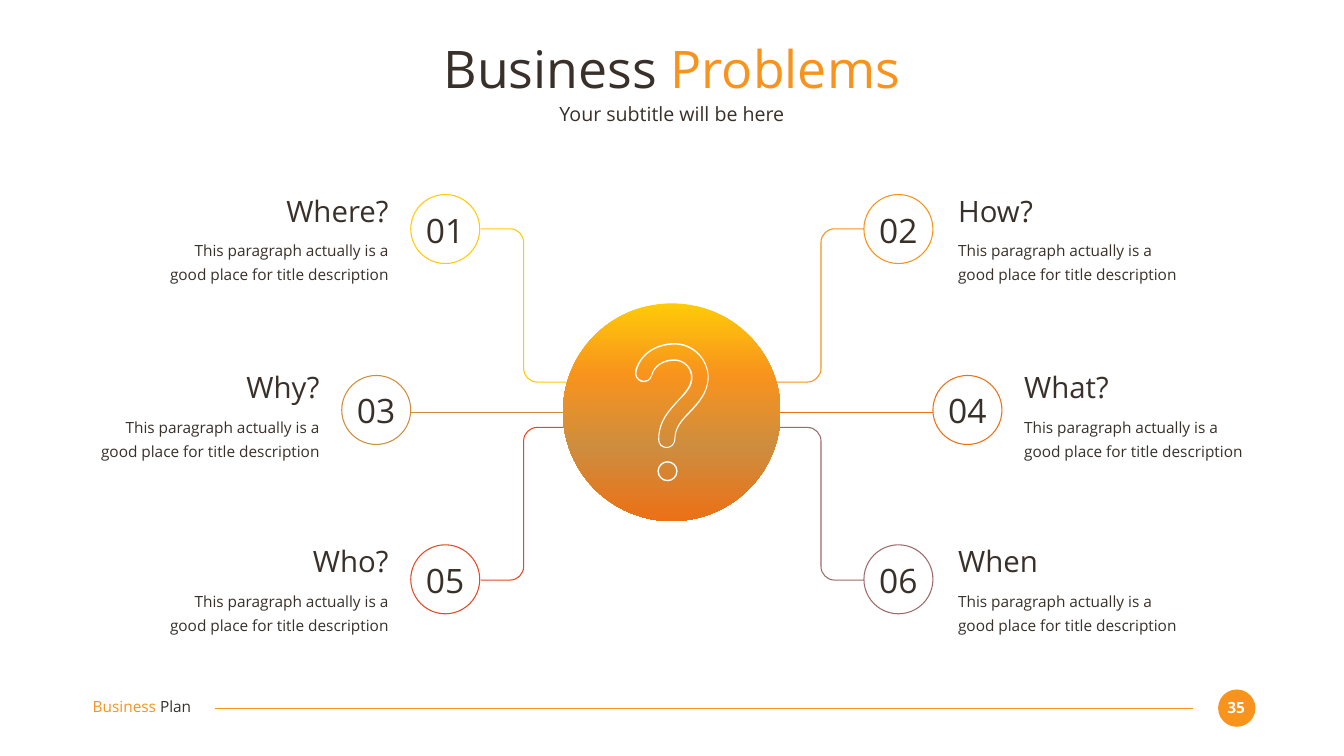
from lxml.etree import SubElement
from pptx import Presentation
from pptx.dml.color import RGBColor
from pptx.enum.shapes import MSO_CONNECTOR as LINK, MSO_SHAPE as SHAPE
from pptx.enum.text import PP_ALIGN as ALIGN
from pptx.oxml.ns import qn
from pptx.util import Pt

INK, ORANGE, WHITE = "39302A", "F8931D", "FFFFFF"
MID, RING, ROUND = 959.8, 98.6, 19.4
BODY = "This paragraph actually is a good place for title description"
FLOW = [(0, "FFCA08"), (33, "F8931D"), (66, "CE8D3E"), (100, "EC7016")]
ROWS = [
    (323.7, 275.8, 277.9, 299.5, 330, (326.9, 545.8)),
    (422.3, 527.8, 536.4, 556.6, 324.7, None),
    (323.7, 776.2, 778.3, 799.9, 330, (828.7, 610.6)),
]
ITEMS = [
    ("01", "Where?", "FFCA08", 555.1), ("02", "How?", "F8931D", 1368.7),
    ("03", "Why?", "CE8D3E", 456.5), ("04", "What?", "EC7016", 1463),
    ("05", "Who?", "E64823", 555.1), ("06", "When", "9C6A6A", 1368.7),
]
OUTER = [
    (967, 490.3), (943.9, 488.9), (915.1, 500.4), (907.2, 529.9),
    (905.8, 537.1), (910.1, 543.6), (916.6, 545.8), (919.4, 546.5), (923, 545.8), (925.9, 544.3),
    (928.8, 542.2), (931, 540), (931.7, 536.4), (936, 520.6), (951.8, 514.8), (965.5, 515.5),
    (977.8, 516.2), (987.1, 527), (987.1, 538.6), (987.1, 550.8), (979.9, 558.7), (968.4, 571.7),
    (955.4, 585.4), (940.3, 601.2), (940.3, 627.1), (940.3, 628.6), (940.3, 628.6), (940.3, 628.6),
    (940.3, 635), (945.4, 640.1), (952.6, 640.1), (959, 640.1), (964.8, 634.3), (964.8, 627.1),
    (964.8, 611.3), (974.9, 600.5), (986.4, 589), (998.6, 576), (1012.3, 560.9), (1012.3, 538.6),
    (1012.3, 514.1), (992.2, 491.8), (967, 490.3),
]
INNER = [
    (985, 587.5), (973.4, 599.8), (963.4, 610.6), (963.4, 627.1),
    (963.4, 633.6), (958.3, 638.6), (952.6, 638.6), (946.8, 638.6), (941.8, 634.3), (941.8, 628.6),
    (941.8, 627.1), (941.8, 627.1), (941.8, 627.1), (941.8, 601.9), (956.9, 586.8), (969.8, 572.4),
    (982.1, 560.2), (989.3, 551.5), (989.3, 538.6), (989.3, 525.6), (978.5, 514.8), (965.5, 513.4),
    (964.1, 513.4), (963.4, 513.4), (962.6, 513.4), (949, 513.4), (933.8, 520.6), (930.2, 536.4),
    (929.5, 538.6), (927.4, 541.4), (925.2, 542.9), (922.3, 543.6), (919.4, 544.3), (917.3, 543.6),
    (911.5, 542.2), (907.9, 536.4), (909.4, 530.6), (916.6, 501.8), (944.6, 491), (967, 492.5),
    (990.7, 493.9), (1010.9, 514.8), (1010.9, 538.6), (1010.9, 560.2), (997.2, 574.6), (985, 587.5),
]


def tint(code):
    return RGBColor.from_string(code)


def loop(x, y, r):
    k = 0.55 * r
    return [(x, y - r), (x - k, y - r), (x - r, y - k), (x - r, y), (x - r, y + k),
            (x - k, y + r), (x, y + r), (x + k, y + r), (x + r, y + k), (x + r, y),
            (x + r, y - k), (x + k, y - r), (x, y - r)]


class Deck:
    """Draws styled elements on the current slide, in points."""

    def __init__(self, slide, font="Open Sans", width=1.5):
        self.shapes, self.font, self.width = slide.shapes, font, width

    def text(self, words, x, y, w, h, size=22, color=INK, align=ALIGN.LEFT,
             bold=False, lead=None, first=None, last=""):
        frame = self.shapes.add_textbox(Pt(x), Pt(y), Pt(w), Pt(h)).text_frame
        frame.word_wrap = True
        frame.margin_left = frame.margin_right = frame.margin_top = frame.margin_bottom = 0
        para = frame.paragraphs[0]
        para.alignment, para.line_spacing = align, lead
        for part, shade in ((words, first or color), (last, color)):
            if part:
                run = para.add_run()
                run.text = part
                run.font.name, run.font.size, run.font.bold = self.font, Pt(size), bold
                run.font.color.rgb = tint(shade)

    def paint(self, shape, fill=None, line=None):
        shape.shadow.inherit = False
        if fill:
            shape.fill.solid()
            shape.fill.fore_color.rgb = tint(fill)
        else:
            shape.fill.background()
        if line:
            shape.line.color.rgb = tint(line)
            shape.line.width = Pt(self.width)
        else:
            shape.line.fill.background()

    def oval(self, x, y, size, **look):
        shape = self.shapes.add_shape(SHAPE.OVAL, Pt(x), Pt(y), Pt(size), Pt(size))
        self.paint(shape, **look)
        return shape

    def globe(self, x, y, size, stops):
        shape = self.oval(x, y, size)
        shape.fill.gradient()
        shape.fill.gradient_angle = 270
        rows = shape._element.spPr.find(qn("a:gradFill")).find(qn("a:gsLst"))
        for old in list(rows):
            rows.remove(old)
        for pos, code in stops:
            stop = SubElement(rows, qn("a:gs"), pos=str(pos * 1000))
            SubElement(stop, qn("a:srgbClr"), val=code)

    def line(self, x1, x2, y, color):
        link = self.shapes.add_connector(LINK.STRAIGHT, Pt(x1), Pt(y), Pt(x2), Pt(y))
        link.line.color.rgb, link.line.width = tint(color), Pt(self.width)
        SubElement(link._element.spPr, qn("a:effectLst"))

    def curve(self, parts, close=False, **look):
        parts = [[(Pt(x), Pt(y)) for x, y in part] for part in parts]
        pen = self.shapes.build_freeform(*parts[0][0])
        for n, part in enumerate(parts):
            if n:
                pen.move_to(*part[0])
            pen.add_line_segments(part[1:], close=close)
        shape = pen.convert_to_shape()
        lines = list(shape._element.iter(qn("a:lnTo")))
        for i in range(0, len(lines), 3):
            arc = lines[i]
            arc.tag = qn("a:cubicBezTo")
            for step in lines[i + 1:i + 3]:
                arc.append(step[0])
                step.getparent().remove(step)
        self.paint(shape, **look)

    def elbow(self, side, y1, y2, color):
        start, knee, end = (960.5 + side * x for x in (273.6, 212.4, 141))
        near, far = knee + side * ROUND, knee - side * ROUND
        drop = ROUND if y2 > y1 else -ROUND
        a, b = (near, y1), (knee, y1 + drop)
        c, d, stop = (knee, y2 - drop), (far, y2), (end, y2)
        turn = [(near - side * ROUND * 0.55, y1), (knee, y1 + drop * 0.45)]
        back = [(knee, y2 - drop * 0.45), (far + side * ROUND * 0.55, y2)]
        self.curve([[(start, y1), a, a, a, *turn, b, c, c, c, *back, d, stop, stop, stop]],
                   line=color)

    def item(self, side, num, head, color, edge, ring, top, rim, high, wide, turns):
        mid = MID + side * ring
        if turns:
            self.elbow(side, *turns, color)
        else:
            self.line(960.5 + side * 141, mid - side * RING / 2, 589, color)
        self.oval(mid - RING / 2, rim, RING, line=color)
        self.text(num, mid - 39.5, high, 78.5, 58.3, size=48, align=ALIGN.CENTER)
        left = edge if side > 0 else edge - wide
        align = ALIGN.LEFT if side > 0 else ALIGN.RIGHT
        self.text(head, left, top, wide, 51, size=42, align=align)
        self.text(BODY, left, top + 61.2, wide, 69, align=align, lead=1.3)


def main():
    prs = Presentation()
    prs.slide_width, prs.slide_height = Pt(1920), Pt(1080)
    deck = Deck(prs.slides.add_slide(prs.slide_layouts[6]))
    deck.oval(1740.2, 985, 53.3, fill=ORANGE)
    deck.text("35", 1744.5, 997.2, 42.5, 26.6, color=WHITE, align=ALIGN.CENTER, bold=True)
    deck.line(1704.2, 307.4, 1011.6, ORANGE)
    deck.text("Business ", 132.5, 996.5, 186.5, 26.6, first=ORANGE, last="Plan")
    deck.text("Business ", 131.8, 52.6, 1656, 91.4, size=74, color=ORANGE,
              align=ALIGN.CENTER, first=INK, last="Problems")
    deck.text("Your subtitle will be here", 131.8, 146.2, 1656, 35.3, size=28,
              align=ALIGN.CENTER)
    for n, item in enumerate(ITEMS):
        deck.item(1 if n % 2 else -1, *item, *ROWS[n // 2])
    deck.globe(804.2, 433.4, 311, FLOW)
    dots = [loop(953.6, 673.2, r) for r in (14.4, 12.4)]
    deck.curve([OUTER, INNER, *dots], close=True, fill=WHITE)
    prs.save("out.pptx")


if __name__ == "__main__":
    main()
